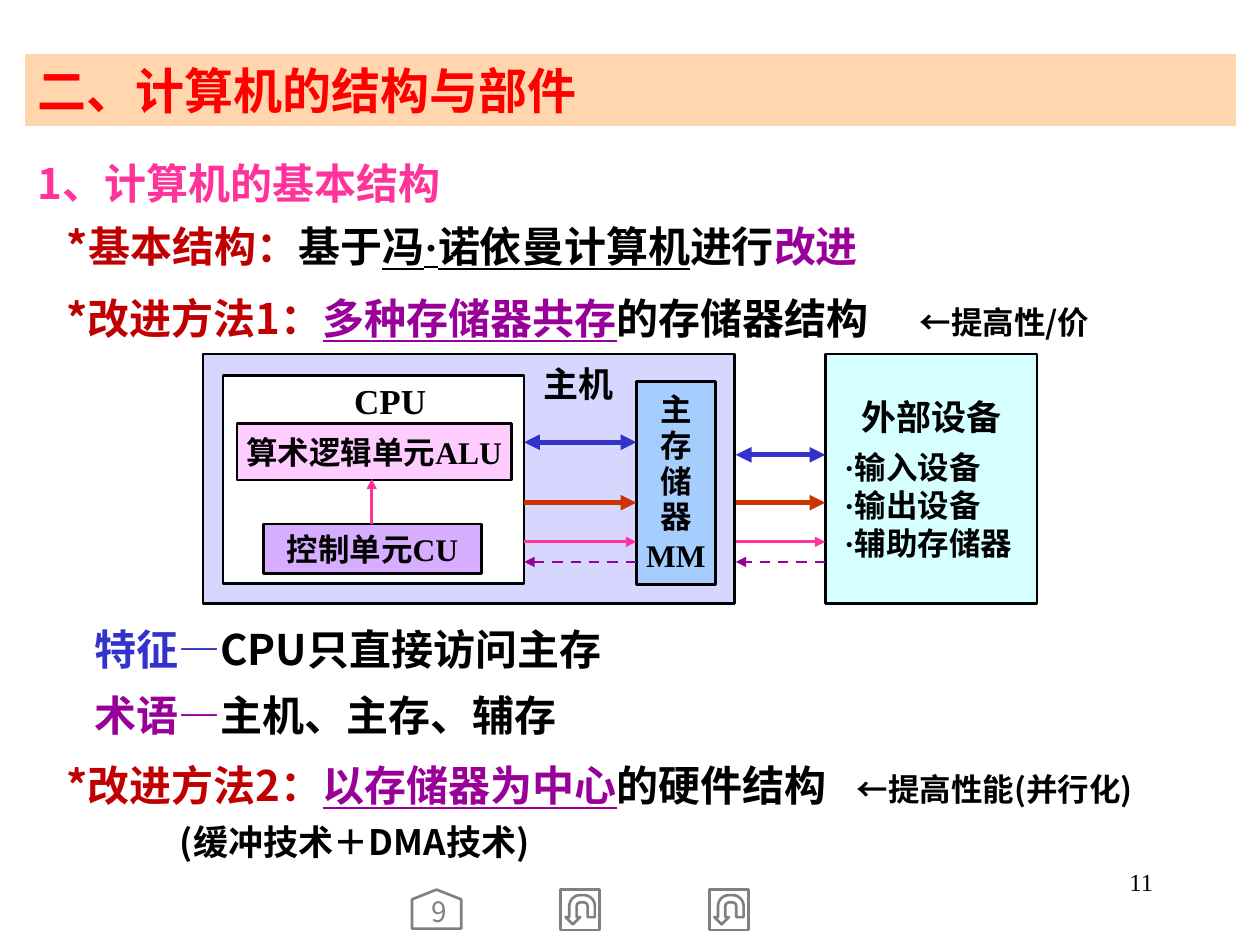
from lxml import etree
from pptx import Presentation
from pptx import util as u
from pptx.dml.color import RGBColor
from pptx.enum import dml, shapes, text
from pptx.oxml.ns import qn

Inches, Pt = u.Inches, u.Pt
SANS, SERIF = "Noto Sans CJK SC", "Times New Roman"
LEFT, CENTER, RIGHT = text.PP_ALIGN.LEFT, text.PP_ALIGN.CENTER, text.PP_ALIGN.RIGHT
COLORS = {
    "black": "000000", "white": "FFFFFF", "gray": "808080", "red": "FF0000",
    "dark red": "C00000", "pink": "FF3399", "purple": "990099", "blue": "3333CC",
    "rust": "CC3300", "peach": "FFCC99", "lavender": "CCCCFF", "cyan": "CCFFFF",
    "sky": "99CCFF", "violet": "CC99FF", "rose": "FFCCFF",
}


def write(box, lines, size, font=SERIF, color="black", bold=True, align=LEFT,
          spacing=1.0, inset=(0.1, 0.05), anchor=text.MSO_ANCHOR.TOP):
    """Fill a box with lines; each is (spans, options), each span (text, formats)."""
    frame = box.text_frame
    frame.word_wrap = True
    frame.auto_size = text.MSO_AUTO_SIZE.NONE
    frame.vertical_anchor = anchor
    frame.margin_left = frame.margin_right = Inches(inset[0])
    frame.margin_top = frame.margin_bottom = Inches(inset[1])
    for index, (spans, options) in enumerate(lines):
        para = frame.paragraphs[0] if index == 0 else frame.add_paragraph()
        props = para._p.get_or_add_pPr()
        props.set("marL", "0")
        props.set("indent", str(Inches(options.get("indent", 0))))
        etree.SubElement(props, qn("a:buNone"))
        if "tab" in options:
            tabs = etree.SubElement(props, qn("a:tabLst"))
            etree.SubElement(tabs, qn("a:tab"), pos=str(Inches(options["tab"])), algn="l")
        para.alignment = options.get("align", align)
        para.line_spacing = options.get("spacing", spacing)
        para.space_before = Pt(options.get("before", 0))
        para.font.name = font
        para.font.size = Pt(options.get("size", size))
        para.font.bold = bold
        para.font.color.rgb = RGBColor.from_string(COLORS[color])
        etree.SubElement(props.find(qn("a:defRPr")), qn("a:ea"), typeface=SANS)
        for words, formats in spans:
            span = para.add_run()
            span.text = words
            if "color" in formats:
                span.font.color.rgb = RGBColor.from_string(COLORS[formats["color"]])
            if "size" in formats:
                span.font.size = Pt(formats["size"])
            if "font" in formats:
                span.font.name = formats["font"]
            if "underline" in formats:
                span.font.underline = True


def paint(shape, fill=None, line=None, alpha=80):
    """Give a shape its fill (with opacity in percent) and outline."""
    if fill:
        shape.fill.solid()
        shape.fill.fore_color.rgb = RGBColor.from_string(COLORS[fill])
        if alpha < 100:
            tint = shape._element.spPr.find(qn("a:solidFill"))[0]
            etree.SubElement(tint, qn("a:alpha"), val=str(alpha * 1000))
    else:
        shape.fill.background()
    if line:
        shape.line.color.rgb = RGBColor.from_string(COLORS[line])
        shape.line.width = Pt(1.5)
    else:
        shape.line.fill.background()


deck = Presentation()
deck.slide_width, deck.slide_height = Inches(10), Inches(7.5)
page = deck.slides.add_slide(deck.slide_layouts[1])

# Title band
title, body = page.placeholders[0], page.placeholders[1]
title.left, title.top, title.width, title.height = map(Inches, (0.2, 0.43, 9.61, 0.57))
paint(title, "peach")
write(title, [([("二、计算机的结构与部件", {})], {})], 28, SANS, "red")

# Body text: the first block is the body placeholder
under = {"underline": True}
key = {"color": "purple", "underline": True}
head = {"color": "dark red"}
star, sub = 0.23, 0.45
blocks = [
    (1.1, 1.11, [
        ([("1、计算机的基本结构", {"color": "pink"})], {}),
        ([("*基本结构：", head), ("基于", {}), ("冯", under),
          ("·", {"underline": True, "font": SERIF}), ("诺依曼计算机", under),
          ("进行", {}), ("改进", {"color": "purple"})], {"indent": star})]),
    (2.17, 0.61, [
        ([("*改进方法1：", head), ("多种存储器共存", key), ("的存储器结构\t", {}),
          ("←提高性/价", {"size": 18})], {"indent": star, "tab": 6.98})]),
    (4.8, 0.61, [
        ([("特征—", {"color": "blue"}), ("CPU只直接访问主存", {})], {"indent": sub})]),
    (5.32, 0.54, [
        ([("术语—", {"color": "purple"}), ("主机、主存、辅存", {})], {"indent": sub})]),
    (5.88, 1.03, [
        ([("*改进方法2：", head), ("以存储器为中心", key), ("的硬件结构\t", {}),
          ("←提高性能(并行化)", {"size": 18})], {"indent": star, "tab": 6.8}),
        ([("(缓冲技术＋DMA技术)", {})], {"indent": 1.13, "size": 20})]),
]
for index, (top, height, lines) in enumerate(blocks):
    place = [Inches(v) for v in (0.2, top, 9.69, height)]
    box = body if index == 0 else page.shapes.add_textbox(*place)
    box.left, box.top, box.width, box.height = place
    write(box, lines, 24, SANS, spacing=1.25)

# Structure diagram: boxes from back to front
devices = [([("外部设备", {})], {"align": CENTER, "size": 20})]
devices += [([("·" + name, {})], {"indent": 0.13, "before": 6 if index == 0 else 0})
            for index, name in enumerate(("输入设备", "输出设备", "辅助存储器"))]
memory = [([(mark, {})], {"spacing": 0.95}) for mark in "主存储器"] + [([("MM", {})], {})]
boxes = [
    ((1.61, 2.81, 4.22, 1.98), "lavender", 80, [], LEFT),
    ((6.55, 2.81, 1.68, 1.98), "cyan", 80, devices, LEFT),
    ((1.77, 2.98, 2.39, 1.65), "white", 100, [], LEFT),
    ((5.05, 3.03, 0.63, 1.61), "sky", 80, memory, CENTER),
    ((2.09, 4.16, 1.73, 0.39), "violet", 80, [([("控制单元CU", {})], {})], CENTER),
    ((1.88, 3.36, 2.18, 0.45), "rose", 100, [([("算术逻辑单元ALU", {})], {})], CENTER),
]
for place, fill, alpha, lines, align in boxes:
    box = page.shapes.add_shape(shapes.MSO_SHAPE.RECTANGLE, *map(Inches, place))
    box.shadow.inherit = False
    paint(box, fill, "black", alpha)
    write(box, lines, 18, align=align, inset=(0.02, 0.01), anchor=text.MSO_ANCHOR.MIDDLE)

# Diagram labels
for name, place in (("CPU", (2.79, 3.02, 0.71, 0.31)), ("主机", (4.29, 2.88, 0.63, 0.32))):
    label = page.shapes.add_textbox(*map(Inches, place))
    write(label, [([(name, {})], {})], 20, inset=(0.02, 0.01), anchor=text.MSO_ANCHOR.MIDDLE)

# Arrows: the control arrow, then the same four signals on both bus sections
arrows = [((2.95, 4.16, 2.95, 3.8), "pink", 1.5, "control")]
for start, end, data_y in ((4.16, 5.05, 3.51), (5.84, 6.55, 3.61)):
    arrows += [
        ((start, data_y, end, data_y), "blue", 3, "both"),
        ((start, 3.99, end, 3.99), "rust", 3, "address"),
        ((start, 4.3, end, 4.3), "pink", 1.5, "control"),
        ((end, 4.46, start, 4.46), "purple", 1.5, "status"),
    ]
for ends, color, width, kind in arrows:
    arrow = page.shapes.add_connector(shapes.MSO_CONNECTOR.STRAIGHT, *map(Inches, ends))
    arrow.line.color.rgb = RGBColor.from_string(COLORS[color])
    arrow.line.width = Pt(width)
    if kind == "status":
        arrow.line.dash_style = dml.MSO_LINE.DASH
    outline = arrow.line._get_or_add_ln()
    if kind == "both":
        etree.SubElement(outline, qn("a:headEnd"), type="triangle")
    etree.SubElement(outline, qn("a:tailEnd"), type="triangle")
    etree.SubElement(arrow._element.spPr, qn("a:effectLst"))

# Navigation buttons
buttons = [
    (shapes.MSO_SHAPE.PENTAGON, (3.31, 7.02, 0.31, 0.39), 270),
    (shapes.MSO_SHAPE.ACTION_BUTTON_RETURN, (4.45, 7.06, 0.31, 0.32), 180),
    (shapes.MSO_SHAPE.ACTION_BUTTON_RETURN, (5.63, 7.06, 0.31, 0.32), 180),
]
for kind, place, turn in buttons:
    button = page.shapes.add_shape(kind, *map(Inches, place))
    button.shadow.inherit = False
    button.rotation = turn
    if kind == shapes.MSO_SHAPE.PENTAGON:
        button.adjustments[0] = 0.25
    paint(button, line="gray")
target = page.shapes.add_textbox(*map(Inches, (3.33, 7.14, 0.31, 0.24)))
write(target, [([("9", {})], {})], 16, SANS, "gray", False, CENTER, 0.85, (0, 0))

# Page number
number = page.shapes.add_textbox(*map(Inches, (7.17, 6.83, 2.08, 0.5)))
write(number, [([("11", {})], {})], 14, bold=False, align=RIGHT)

deck.save("out.pptx")
